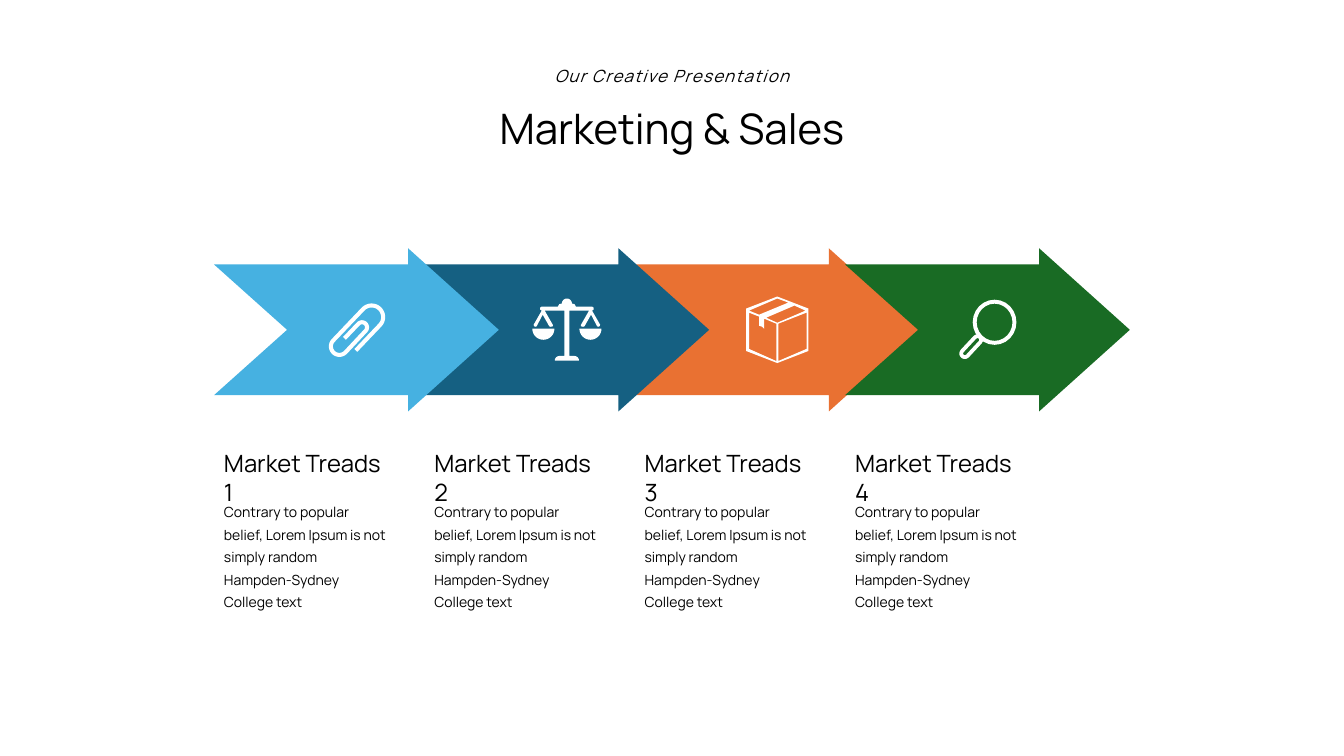
import math

import pptx
import pptx.dml.color
import pptx.enum.shapes
import pptx.enum.text
import pptx.util

Pt = pptx.util.Pt
RGB = pptx.dml.color.RGBColor
KIND = pptx.enum.shapes.MSO_SHAPE
ALIGN = pptx.enum.text.PP_ALIGN

WHITE = RGB(0xFF, 0xFF, 0xFF)
BLACK = RGB(0, 0, 0)
SKY = RGB(0x46, 0xB1, 0xE1)
BLUE = RGB(0x15, 0x60, 0x82)
ORANGE = RGB(0xE9, 0x71, 0x32)
GREEN = RGB(0x19, 0x6B, 0x24)
FONT = "Manrope"
BODY = ("Contrary to popular belief, Lorem Ipsum is not simply random "
        "Hampden-Sydney College text")

LEFT, TOP, STEP = 152.9, 177.3, 150.25


def text(slide, words, x, y, w, h, size=10, align=ALIGN.LEFT, italic=False,
         space=None, line=None):
    box = slide.shapes.add_textbox(Pt(x), Pt(y), Pt(w), Pt(h))
    box.text_frame.word_wrap = True
    para = box.text_frame.paragraphs[0]
    para.alignment = align
    if line:
        para.line_spacing = Pt(line)
    run = para.add_run()
    run.text = words
    run.font.name = FONT
    run.font.size = Pt(size)
    run.font.italic = italic
    run.font.color.rgb = BLACK
    if space:
        run.font._element.set("spc", str(space))


def paint(shape, fill=None, width=None):
    shape.shadow.inherit = False
    if fill is None:
        shape.fill.background()
    else:
        shape.fill.solid()
        shape.fill.fore_color.rgb = fill
    if width is None:
        shape.line.fill.background()
    else:
        shape.line.color.rgb = WHITE
        shape.line.width = Pt(width)


def draw(slide, x, y, loops, fill=None, width=None, unit=1):
    loops = [[(Pt(x + a * unit), Pt(y + b * unit)) for a, b in loop] for loop in loops]
    pen = slide.shapes.build_freeform(*loops[0][0], scale=1.0)
    for i, loop in enumerate(loops):
        if i:
            pen.move_to(*loop[0])
        pen.add_line_segments(loop[1:], close=fill is not None)
    paint(pen.convert_to_shape(), fill, width)


def preset(slide, kind, x, y, w, h, width, turn=0):
    shape = slide.shapes.add_shape(kind, Pt(x - w / 2), Pt(y - h / 2), Pt(w), Pt(h))
    shape.rotation = turn
    if kind == KIND.ROUNDED_RECTANGLE:
        shape.adjustments[0] = 0.5
    paint(shape, width=width)


def arc(x, y, r, start, end, count=16):
    turns = [math.radians(start + (end - start) * i / count) for i in range(count + 1)]
    return [(x + r * math.cos(t), y + r * math.sin(t)) for t in turns]


def clip(slide, x, y):
    wire = ([(-11, 9.8)] + arc(14, 1.5, 8.3, 90, -90) + arc(-17, -0.7, 6.1, 270, 90)
            + arc(4, 1.6, 3.6, 90, -90) + [(-10.4, -2)])
    c, s = math.cos(math.radians(46.4)), math.sin(math.radians(46.4))
    draw(slide, x, y, [[(a * c + b * s, b * c - a * s) for a, b in wire]], width=2.9)


def scales(slide, x, y):
    half = (arc(0, -26, 5, -90, 0, 6)
            + [(7.5, -25.5), (9, -23), (25, -23), (26.5, -22), (26.5, -20), (25, -19),
               (33, -5), (32.5, -3.5), (31, -3), (30, -3.5), (24, -15), (17.5, -3.5),
               (16, -3), (14, -3.5), (14, -5), (22, -19), (2.5, -19), (2.5, 26)]
            + arc(7.5, 30.5, 4.5, -90, 0, 6))
    draw(slide, x, y, [half + [(-a, b) for a, b in reversed(half)]],
         fill=WHITE, unit=0.72)
    for side in (-16.8, 16.8):
        draw(slide, x + side, y, [arc(0, -0.8, 7.9, 0, 180)], fill=WHITE)


def carton(slide, x, y):
    loops = [
        [(31, -21), (0, -33), (-31, -21), (-31, 21), (0, 33), (31, 21)],
        [(0, -31), (11, -27), (-18, -15), (-28, -19)],
        [(-1, 31), (-28, 19), (-28, -17), (-18, -13), (-18, -4), (-15, -3),
         (-13, -1), (-13, -11), (-1, -6)],
        [(0, -7), (-11, -12), (17, -24), (28, -19)],
        [(29, 19), (1, 31), (1, -6), (29, -17)],
    ]
    draw(slide, x, y, loops, fill=WHITE, unit=0.72)


def lens(slide, x, y):
    preset(slide, KIND.OVAL, x + 5, y - 5.4, 28.4, 29.4, 2.8)
    preset(slide, KIND.ROUNDED_RECTANGLE, x - 11.7, y + 12, 18.6, 5.2, 2.7, turn=-47)


def arrow(slide, x, y, color, icon):
    edge = [(138.6, 0), (203.4, 58.3), (138.6, 116.6), (138.6, 105), (0, 105),
            (52.2, 58.3), (0, 11.6), (138.6, 11.6)]
    draw(slide, x, y, [edge], fill=color)
    icon(slide, x + 101.8, y + 58.3)


def note(slide, x, y, index):
    text(slide, f"Market Treads {index}", x, y, 130.3, 48, size=17)
    text(slide, BODY, x, y + 35.5, 130.3, 87, line=16)


def header(slide, x, y, w):
    text(slide, "Our Creative Presentation", x, y, w, 21.8, size=12,
         align=ALIGN.CENTER, italic=True, space=100)
    text(slide, "Marketing & Sales", x, y + 26.6, w, 44, size=30, align=ALIGN.CENTER)


def main():
    deck = pptx.Presentation()
    deck.slide_width, deck.slide_height = Pt(960), Pt(540)
    slide = deck.slides.add_slide(deck.slide_layouts[6])
    header(slide, 323, 43.2, 314)
    steps = [(SKY, clip), (BLUE, scales), (ORANGE, carton), (GREEN, lens)]
    for i in (2, 1, 0, 3):
        arrow(slide, LEFT + i * STEP, TOP, *steps[i])
    for i in range(len(steps)):
        note(slide, LEFT + i * STEP, TOP + 139.7, i + 1)
    deck.save("out.pptx")


if __name__ == "__main__":
    main()
